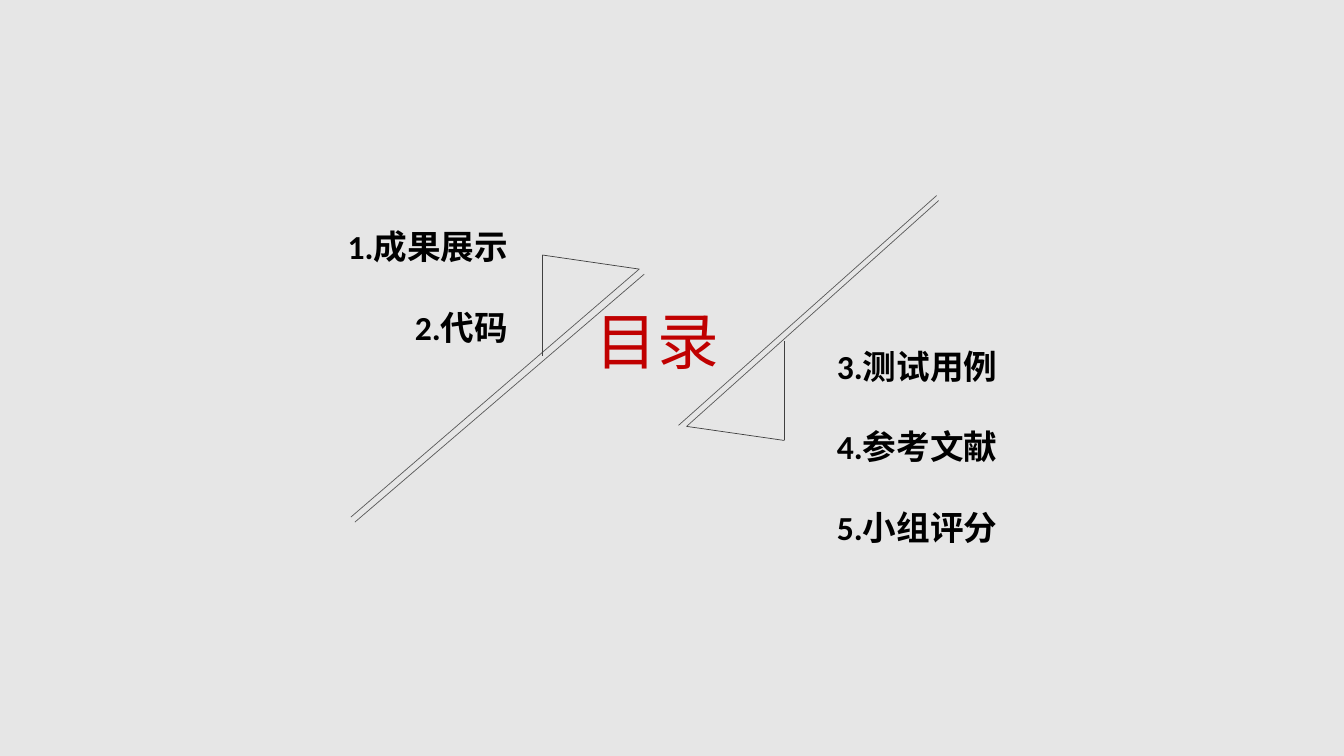
from lxml.etree import SubElement
from pptx import Presentation
from pptx.dml.color import RGBColor
from pptx.enum.shapes import MSO_CONNECTOR
from pptx.enum.text import MSO_ANCHOR, MSO_AUTO_SIZE, PP_ALIGN
from pptx.oxml.ns import qn
from pptx.util import Inches, Pt

LONG_LINE, SHORT_LINE = "595959", "404040"


def color(value):
    return RGBColor.from_string(value)


def write_text(holder, box, lines, font="Calibri", size=24, ink="000000",
               bold=False, align=PP_ALIGN.LEFT, gap=0):
    """Place a text placeholder in its box and fill it with plain lines."""
    holder.left, holder.top, holder.width, holder.height = map(Inches, box)
    frame = holder.text_frame
    frame.word_wrap = True
    frame.auto_size = MSO_AUTO_SIZE.NONE
    frame.vertical_anchor = MSO_ANCHOR.TOP
    for index, line in enumerate(lines):
        para = frame.paragraphs[0] if index == 0 else frame.add_paragraph()
        properties = para._p.get_or_add_pPr()
        properties.set("marL", "0")
        properties.set("indent", "0")
        SubElement(properties, qn("a:buNone"))
        para.alignment = align
        para.space_before = Pt(gap if index else 0)
        span = para.add_run()
        span.text = line
        span.font.name = font
        span.font.size = Pt(size)
        span.font.bold = bold
        span.font.color.rgb = color(ink)
        east_asian = SubElement(span._r.get_or_add_rPr(), qn("a:ea"))
        east_asian.set("typeface", "Noto Sans CJK SC")


def draw_lines(page, box, segments):
    """Draw thin lines whose ends are offsets from the box's corner."""
    left, top = box[:2]
    for x1, y1, x2, y2, ink in segments:
        line = page.shapes.add_connector(
            MSO_CONNECTOR.STRAIGHT, Inches(left + x1), Inches(top + y1),
            Inches(left + x2), Inches(top + y2))
        line.line.color.rgb = color(ink)
        line.line.width = Pt(0.5)
        SubElement(line._element.spPr, qn("a:effectLst"))


def add_left_ornament(page, box):
    draw_lines(page, box, [
        (0, 2.6, 2.86, 0.14, LONG_LINE),
        (0.04, 2.65, 2.91, 0.19, LONG_LINE),
        (2.86, 0.14, 1.9, 0, SHORT_LINE),
        (1.9, 0, 1.9, 1, SHORT_LINE),
    ])


def add_right_ornament(page, box):
    draw_lines(page, box, [
        (0.08, 2.29, 2.58, 0.05, LONG_LINE),
        (0, 2.28, 2.56, 0, LONG_LINE),
        (0.08, 2.29, 1.05, 2.43, SHORT_LINE),
        (1.05, 2.43, 1.05, 1.44, SHORT_LINE),
    ])


def build_contents_page(deck):
    page = deck.slides.add_slide(deck.slide_layouts.get_by_name("Two Content"))
    page.background.fill.solid()
    page.background.fill.fore_color.rgb = color("E6E6E6")
    title, left_list, right_list = list(page.placeholders)[:3]

    # Heading
    write_text(title, (5.81, 2.96, 1.48, 0.83), ["目录"],
               font="Noto Sans CJK SC", size=44, ink="C00000")

    # Diagonal ornaments
    add_left_ornament(page, (3.48, 2.53, 2.91, 2.65))
    add_right_ornament(page, (6.73, 1.94, 2.58, 2.43))

    # Chapter lists
    write_text(left_list, (2.62, 2.19, 2.52, 1.72), ["1.成果展示", "2.代码"],
               bold=True, align=PP_ALIGN.RIGHT, gap=28.8)
    write_text(right_list, (8.2, 3.38, 2.47, 2.12),
               ["3.测试用例", "4.参考文献", "5.小组评分"], bold=True, gap=28.8)


def main():
    deck = Presentation()
    deck.slide_width, deck.slide_height = Inches(13.33), Inches(7.5)
    build_contents_page(deck)
    deck.save("out.pptx")


if __name__ == "__main__":
    main()
